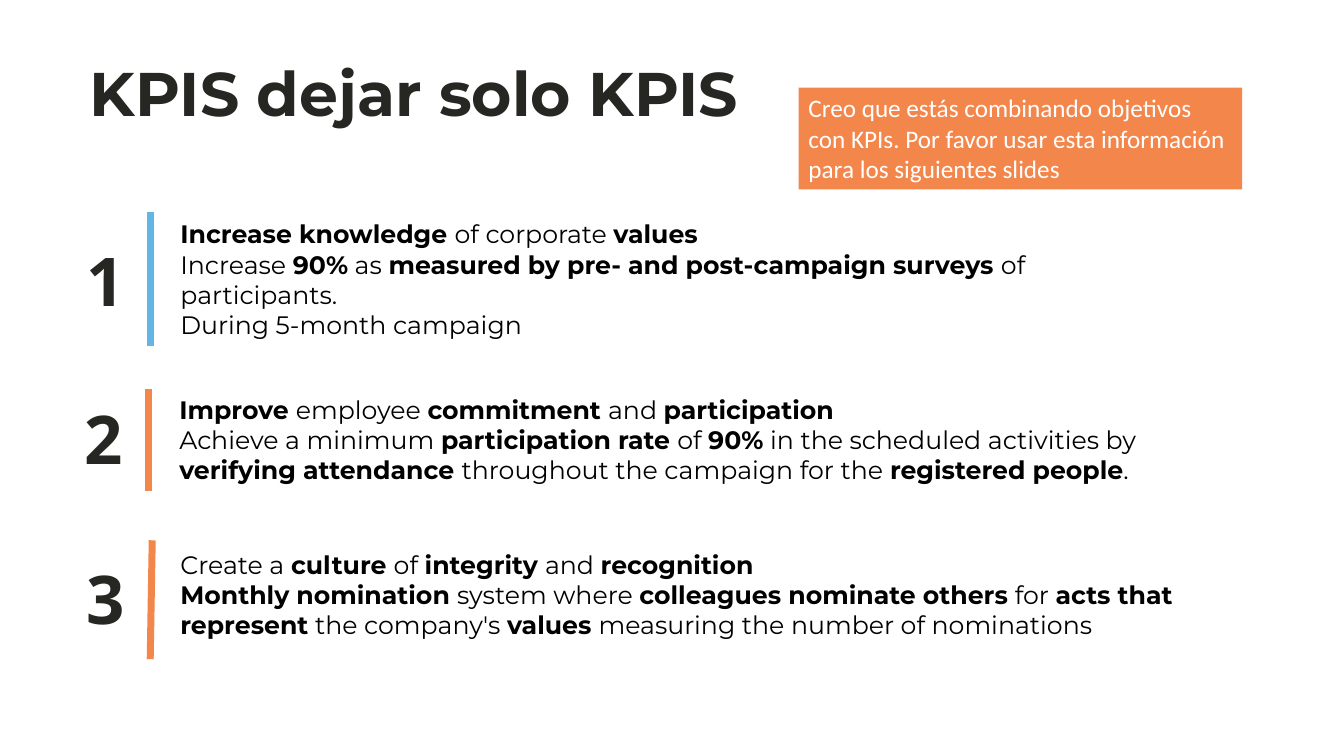
from lxml.etree import SubElement
from pptx import Presentation
from pptx.dml.color import RGBColor
from pptx.enum.shapes import MSO_CONNECTOR, MSO_SHAPE
from pptx.enum.text import MSO_ANCHOR, PP_ALIGN
from pptx.oxml.ns import qn
from pptx.util import Inches, Pt

BLUE, ORANGE, INK, BLACK, WHITE = "62B5E5", "F3864B", "262722", "000000", "FFFFFF"


def color(value):
    return RGBColor.from_string(value)


class KpiSlide:
    """Holds the slide and its style, and adds each kind of element."""

    heading_font, number_font, note_font = "Montserrat", "Open Sans", "Calibri"

    def __init__(self, presentation):
        self.slide = presentation.slides.add_slide(presentation.slide_layouts[5])
        self.slide.background.fill.solid()
        self.slide.background.fill.fore_color.rgb = color(WHITE)

    def style(self, run, font, size, fill, bold=False):
        run.font.name = font
        run.font.size = Pt(size)
        run.font.bold = bold
        run.font.color.rgb = color(fill)

    def title(self, text, box):
        shape = self.slide.shapes.title
        shape.left, shape.top, shape.width, shape.height = map(Inches, box)
        frame = shape.text_frame
        frame.text = text
        frame.vertical_anchor = MSO_ANCHOR.MIDDLE
        paragraph = frame.paragraphs[0]
        paragraph.alignment = PP_ALIGN.LEFT
        paragraph.line_spacing = 0.9
        self.style(paragraph.runs[0], self.heading_font, 44, INK, True)

    def text_box(self, box):
        frame = self.slide.shapes.add_textbox(*map(Inches, box)).text_frame
        frame.word_wrap = True
        return frame

    def number(self, text, left, top):
        frame = self.text_box((left, top, 0.59, 0.91))
        frame.text = text
        self.style(frame.paragraphs[0].runs[0], self.number_font, 48, INK, True)

    def goal(self, lines, box):
        frame = self.text_box(box)
        for index, line in enumerate(lines):
            paragraph = frame.add_paragraph() if index else frame.paragraphs[0]
            for position, part in enumerate(line.split("**")):
                if part:
                    run = paragraph.add_run()
                    run.text = part
                    self.style(run, self.heading_font, 18, BLACK, position % 2 == 1)

    def bar(self, start, end, fill):
        line = self.slide.shapes.add_connector(
            MSO_CONNECTOR.STRAIGHT, *map(Inches, start + end))
        line.line.color.rgb = color(fill)
        line.line.width = Pt(5)
        SubElement(line._element.spPr, qn("a:effectLst"))

    def note(self, text, box):
        shape = self.slide.shapes.add_shape(MSO_SHAPE.RECTANGLE, *map(Inches, box))
        shape.shadow.inherit = False
        shape.fill.solid()
        shape.fill.fore_color.rgb = color(ORANGE)
        shape.line.fill.background()
        frame = shape.text_frame
        frame.text = text
        frame.word_wrap = True
        frame.vertical_anchor = MSO_ANCHOR.TOP
        paragraph = frame.paragraphs[0]
        paragraph.alignment = PP_ALIGN.LEFT
        self.style(paragraph.runs[0], self.note_font, 18, WHITE)


GOALS = [
    ((0.76, 2.32), (1.49, 2.1), (1.49, 3.43), BLUE, (1.69, 2.12, 9.95, 1.31), [
        "**Increase knowledge **of corporate **values**",
        "Increase **90%** as **measured by pre- and post-campaign surveys **of participants.",
        "During 5-month campaign",
    ]),
    ((0.74, 3.89), (1.47, 3.86), (1.47, 4.87), ORANGE, (1.68, 3.86, 9.95, 1.01), [
        "**Improve **employee **commitment **and **participation**",
        "Achieve a minimum **participation rate **of **90%** in the scheduled activities by "
        "**verifying attendance **throughout the campaign for the **registered people**.",
    ]),
    ((0.76, 5.48), (1.51, 5.36), (1.49, 6.54), ORANGE, (1.69, 5.4, 10.32, 1.01), [
        "Create a **culture **of **integrity **and **recognition**",
        "**Monthly nomination **system where **colleagues nominate others** for "
        "**acts that represent** the company's **values **measuring the number of nominations",
    ]),
]


def main():
    presentation = Presentation()
    presentation.slide_width, presentation.slide_height = Inches(13.33), Inches(7.5)
    kpis = KpiSlide(presentation)
    kpis.title("KPIS dejar solo KPIS", (0.79, 0.48, 11.52, 0.96))
    for number, (corner, start, end, fill, box, lines) in enumerate(GOALS, 1):
        kpis.number(str(number), *corner)
        kpis.bar(start, end, fill)
        kpis.goal(lines, box)
    kpis.note("Creo que estás combinando objetivos con KPIs. Por favor usar esta "
              "información para los siguientes slides", (7.92, 0.87, 4.4, 1.01))
    presentation.save("out.pptx")


if __name__ == "__main__":
    main()
